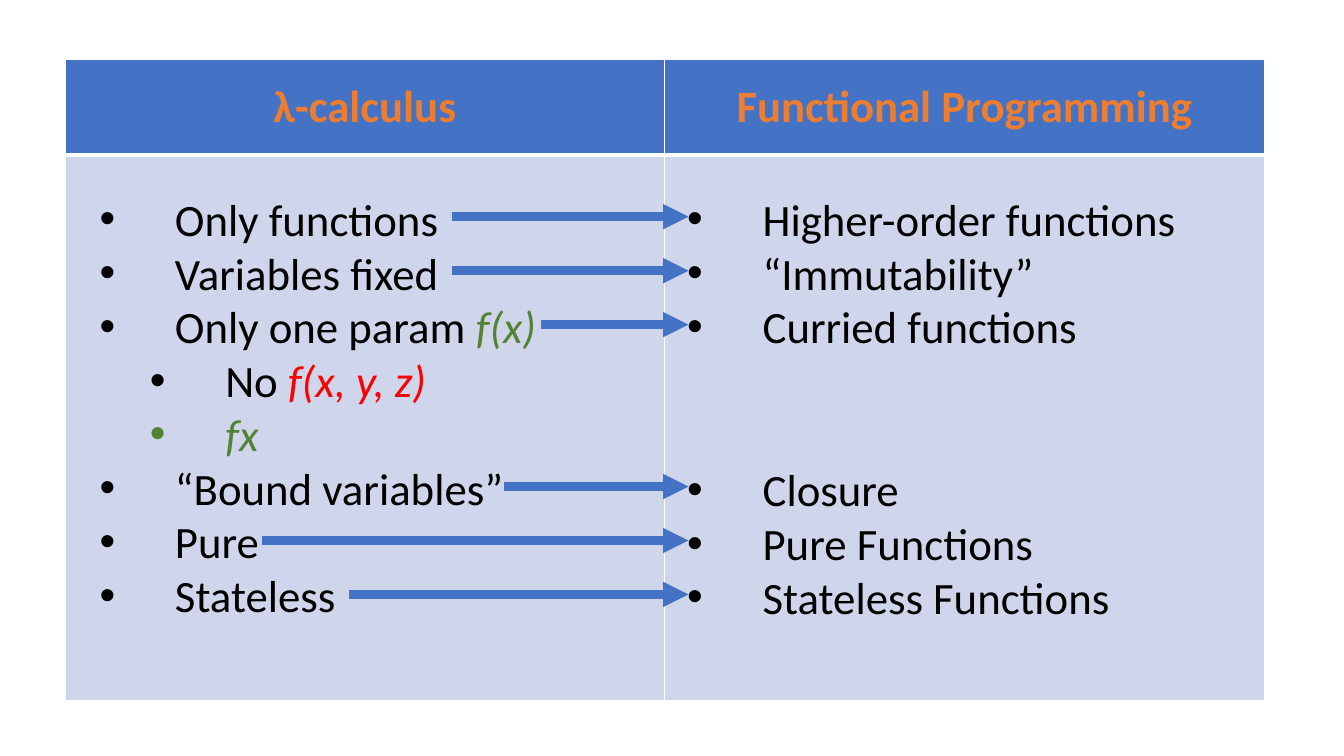
import lxml.etree
import pptx
import pptx.dml.color
import pptx.enum.dml
import pptx.enum.shapes
import pptx.enum.text
import pptx.oxml
import pptx.oxml.ns
import pptx.util

Cm = pptx.util.Cm
Pt = pptx.util.Pt

COLORS = {
    "blue": "4472C4",
    "pale": "CFD5EA",
    "orange": "ED7D31",
    "green": "548235",
    "red": "FF0000",
    "black": "000000",
    "white": "FFFFFF",
}
LINE_HEIGHT = 39  # points, one line of 32 pt text

# Each item: level, lines left free above, runs of (text, colour)
CALCULUS_ITEMS = [
    (0, 0, [("Only functions", "black")]),
    (0, 0, [("Variables fixed", "black")]),
    (0, 0, [("Only one param ", "black"), ("f(x)", "green")]),
    (1, 0, [("No ", "black"), ("f(x, y, z)", "red")]),
    (1, 0, [("fx", "green")]),
    (0, 0, [("“Bound variables”", "black")]),
    (0, 0, [("Pure", "black")]),
    (0, 0, [("Stateless", "black")]),
]
PROGRAMMING_ITEMS = [
    (0, 0, [("Higher-order functions", "black")]),
    (0, 0, [("“Immutability”", "black")]),
    (0, 0, [("Curried functions", "black")]),
    (0, 2, [("Closure", "black")]),
    (0, 0, [("Pure Functions", "black")]),
    (0, 0, [("Stateless Functions", "black")]),
]
# Text line of each arrow and where it starts, in cm
ARROW_STARTS = {0: 11.38, 1: 11.38, 2: 13.64, 5: 12.7, 6: 6.6, 7: 8.79}


def rgb(name):
    """Return the named colour."""
    return pptx.dml.color.RGBColor.from_string(COLORS[name])


class SlideBuilder:
    """Holds the text style and the slide being filled."""

    def __init__(self, slide, font="Calibri", size=32):
        self.slide = slide
        self.font = font
        self.size = size

    def run(self, paragraph, text, color, bold=False, italic=False):
        """Add one styled run."""
        run = paragraph.add_run()
        run.text = text
        run.font.name = self.font
        run.font.size = Pt(self.size)
        run.font.bold = bold
        run.font.italic = italic
        run.font.color.rgb = rgb(color)

    def border(self, cell, **widths):
        """Give a cell white borders; widths in points by side letter."""
        properties = cell._tc.get_or_add_tcPr()
        for index, (side, width) in enumerate(widths.items()):
            line = pptx.oxml.parse_xml(
                f'<a:ln{side} {pptx.oxml.ns.nsdecls("a")} w="{Pt(width)}"><a:solidFill>'
                f'<a:srgbClr val="{COLORS["white"]}"/></a:solidFill></a:ln{side}>')
            properties.insert(index, line)

    def table(self, left, top, widths, heights, headings):
        """Add the two-column table with headings above empty cells."""
        table = self.slide.shapes.add_table(
            len(heights), len(widths), Cm(left), Cm(top),
            Cm(sum(widths)), Cm(sum(heights))).table
        for row, height in zip(table.rows, heights):
            row.height = Cm(height)
        for index, (width, heading) in enumerate(zip(widths, headings)):
            table.columns[index].width = Cm(width)
            header, body = table.cell(0, index), table.cell(1, index)
            for cell, color in ((header, "blue"), (body, "pale")):
                cell.fill.solid()
                cell.fill.fore_color.rgb = rgb(color)
            self.border(header, L=1, R=1, T=1, B=3)
            self.border(body, L=1, R=1, T=3, B=1)
            header.vertical_anchor = pptx.enum.text.MSO_ANCHOR.MIDDLE
            paragraph = header.text_frame.paragraphs[0]
            paragraph.alignment = pptx.enum.text.PP_ALIGN.CENTER
            self.run(paragraph, heading, "orange", bold=True)

    def bullets(self, left, top, width, height, items):
        """Add a bulleted list; coloured runs are formulas in italics."""
        box = self.slide.shapes.add_textbox(Cm(left), Cm(top), Cm(width), Cm(height))
        frame = box.text_frame
        frame.word_wrap = True
        frame.auto_size = pptx.enum.text.MSO_AUTO_SIZE.SHAPE_TO_FIT_TEXT
        for index, (level, free_lines, runs) in enumerate(items):
            paragraph = frame.add_paragraph() if index else frame.paragraphs[0]
            paragraph.level = level
            paragraph.space_before = Pt(free_lines * LINE_HEIGHT)
            properties = paragraph._p.get_or_add_pPr()
            properties.set("marL", str(Cm(1.9 + 1.27 * level)))
            properties.set("indent", str(-Cm(1.9)))
            font = lxml.etree.SubElement(properties, pptx.oxml.ns.qn("a:buFont"))
            font.set("typeface", "Arial")
            bullet = lxml.etree.SubElement(properties, pptx.oxml.ns.qn("a:buChar"))
            bullet.set("char", "•")
            for text, color in runs:
                self.run(paragraph, text, color, italic=color != "black")

    def arrow(self, start, end, y):
        """Add a thick horizontal arrow."""
        connector = self.slide.shapes.add_connector(
            pptx.enum.shapes.MSO_CONNECTOR.STRAIGHT, Cm(start), Cm(y), Cm(end), Cm(y))
        connector.line.width = Pt(6)
        connector.line.color.rgb = rgb("blue")
        line = connector.line._get_or_add_ln()
        tail = lxml.etree.SubElement(line, pptx.oxml.ns.qn("a:tailEnd"))
        tail.set("type", "triangle")
        lxml.etree.SubElement(connector._element.spPr, pptx.oxml.ns.qn("a:effectLst"))


def main():
    """Build and save the comparison slide."""
    presentation = pptx.Presentation()
    presentation.slide_width = Cm(33.87)
    presentation.slide_height = Cm(19.05)
    blank_layout = presentation.slide_layouts[6]
    builder = SlideBuilder(presentation.slides.add_slide(blank_layout))

    builder.table(1.65, 1.5, [15.09, 15.14], [2.41, 13.74],
                  ["λ-calculus", "Functional Programming"])
    for left, items in ((2.26, CALCULUS_ITEMS), (17.07, PROGRAMMING_ITEMS)):
        builder.bullets(left, 4.7, 13.21, 11.2, items)
    for line, start in ARROW_STARTS.items():
        builder.arrow(start, 17.35, 5.46 + 1.36 * line)

    presentation.save("out.pptx")


main()
